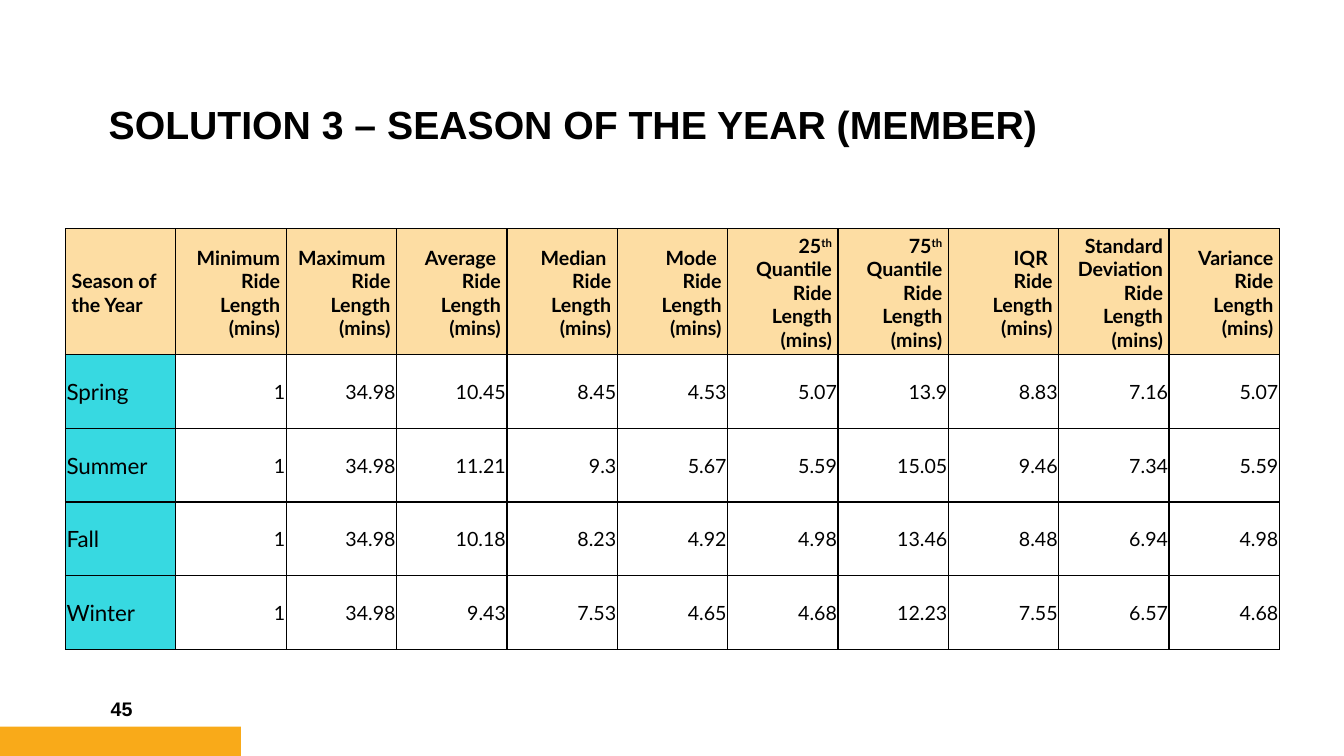
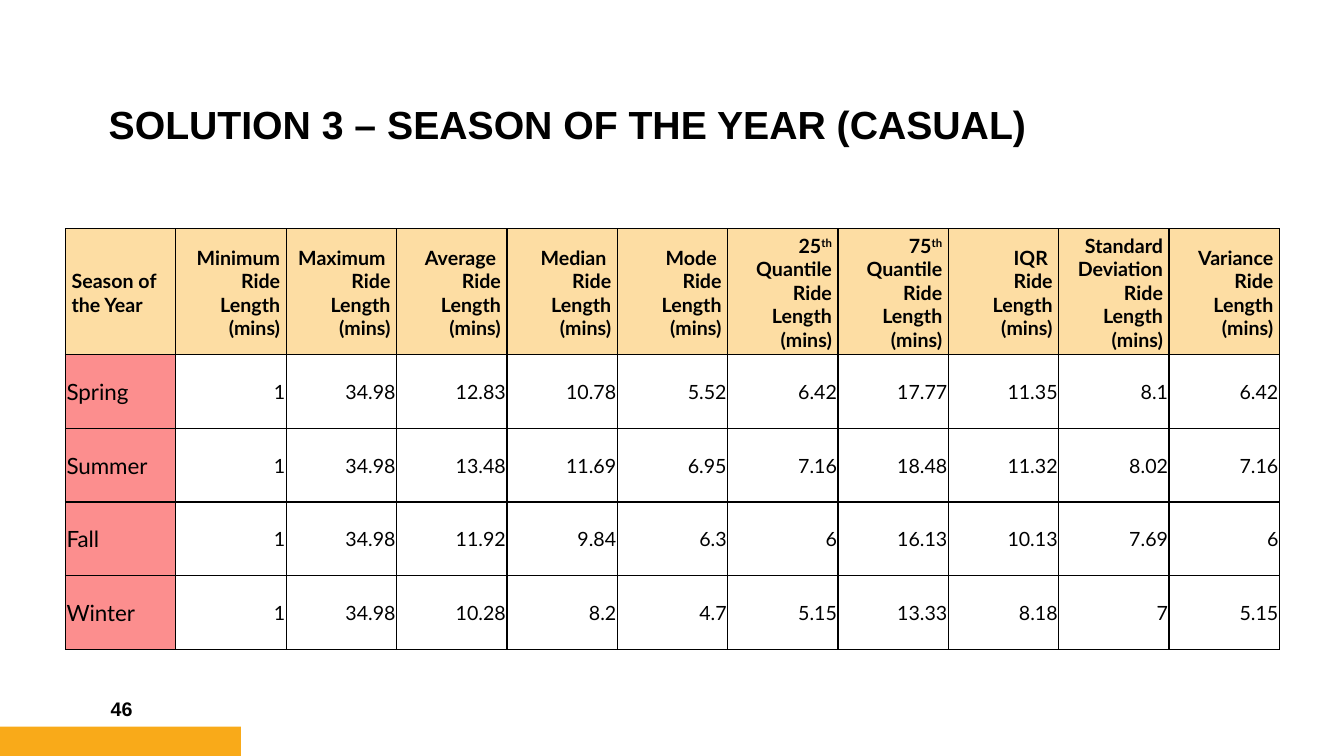
from dataclasses import dataclass
from lxml import etree
from pptx import Presentation
from pptx.dml.color import RGBColor
from pptx.enum.shapes import MSO_SHAPE
from pptx.enum.text import MSO_ANCHOR, PP_ALIGN
from pptx.oxml.ns import qn
from pptx.util import Inches, Pt

RECT = MSO_SHAPE.RECTANGLE
MIDDLE, BOTTOM = MSO_ANCHOR.MIDDLE, MSO_ANCHOR.BOTTOM
LEFT, RIGHT = PP_ALIGN.LEFT, PP_ALIGN.RIGHT


@dataclass(frozen=True)
class Theme:
    ink: str = "000000"
    paper: str = "FFFFFF"
    band: str = "F9AA19"
    head: str = "FDDDA3"
    member: str = "37D9E1"
    casual: str = "FC8E8E"
    title_font: str = "Arial"
    table_font: str = "Lato"
    title_size: int = 28
    season_size: int = 16
    body_size: int = 14


theme = Theme()

# Column heads: one string per paragraph, raised text between carets
ride = ["Ride Length", "(mins)"]
heads = [
    ["Season of the Year"],
    ["Minimum Ride Length", "(mins)"],
    ["Maximum ", *ride],
    ["Average ", *ride],
    ["Median ", *ride],
    ["Mode ", *ride],
    ["25^th^ Quantile Ride Length", "(mins)"],
    ["75^th^ Quantile Ride Length", "(mins)"],
    ["IQR ", *ride],
    ["Standard Deviation Ride Length", "(mins)"],
    ["Variance Ride Length", "(mins)"],
]

# Slides: rider group, page number, season colour, table rows
slides = [
    ("MEMBER", 45, theme.member, [
        ["Spring", 1, 34.98, 10.45, 8.45, 4.53, 5.07, 13.9, 8.83, 7.16, 5.07],
        ["Summer", 1, 34.98, 11.21, 9.3, 5.67, 5.59, 15.05, 9.46, 7.34, 5.59],
        ["Fall", 1, 34.98, 10.18, 8.23, 4.92, 4.98, 13.46, 8.48, 6.94, 4.98],
        ["Winter", 1, 34.98, 9.43, 7.53, 4.65, 4.68, 12.23, 7.55, 6.57, 4.68],
    ]),
    ("CASUAL", 46, theme.casual, [
        ["Spring", 1, 34.98, 12.83, 10.78, 5.52, 6.42, 17.77, 11.35, 8.1, 6.42],
        ["Summer", 1, 34.98, 13.48, 11.69, 6.95, 7.16, 18.48, 11.32, 8.02, 7.16],
        ["Fall", 1, 34.98, 11.92, 9.84, 6.3, 6, 16.13, 10.13, 7.69, 6],
        ["Winter", 1, 34.98, 10.28, 8.2, 4.7, 5.15, 13.33, 8.18, 7, 5.15],
    ]),
]


def write(frame, lines, font, size, bold=True, align=LEFT):
    frame.word_wrap = True
    for i, line in enumerate(lines):
        para = frame.paragraphs[0] if i == 0 else frame.add_paragraph()
        para.alignment = align
        for j, part in enumerate(line.split("^")):
            run = para.add_run()
            run.text = part
            run.font.name = font
            run.font.size = Pt(size)
            run.font.bold = bold
            run.font.color.rgb = RGBColor.from_string(theme.ink)
            if j % 2:
                run.font._element.set("baseline", "30000")


def style(cell, fill, insets):
    cell.vertical_anchor = MIDDLE
    (cell.margin_left, cell.margin_top,
     cell.margin_right, cell.margin_bottom) = map(Inches, insets)
    props = cell._tc.get_or_add_tcPr()
    for side in ("a:lnL", "a:lnR", "a:lnT", "a:lnB"):
        line = etree.SubElement(props, qn(side), w=str(Pt(1)))
        solid = etree.SubElement(line, qn("a:solidFill"))
        etree.SubElement(solid, qn("a:srgbClr"), val=theme.ink)
    cell.fill.solid()
    cell.fill.fore_color.rgb = RGBColor.from_string(fill)


deck = Presentation()
deck.slide_width, deck.slide_height = Inches(13.33), Inches(7.5)

for group, page, tint, rows in slides:
    slide = deck.slides.add_slide(deck.slide_layouts[6])
    shapes = slide.shapes

    # Bottom band
    band = shapes.add_shape(RECT, 0, Inches(7.21), Inches(2.39), Inches(0.3))
    band.shadow.inherit = False
    band.fill.solid()
    band.fill.fore_color.rgb = RGBColor.from_string(theme.band)
    band.line.fill.background()

    # Title
    title = shapes.add_textbox(Inches(0.98), Inches(0.15), Inches(9.99), Inches(1.37)).text_frame
    title.vertical_anchor = BOTTOM
    write(title, [f"SOLUTION 3 – SEASON OF THE YEAR ({group})"], theme.title_font, theme.title_size)
    title.paragraphs[0].line_spacing = 0.9

    # Page number
    number = shapes.add_textbox(Inches(1), Inches(6.83), Inches(1.3), Inches(0.4)).text_frame
    number.vertical_anchor = MIDDLE
    write(number, [str(page)], theme.title_font, theme.body_size)

    # Table
    table = shapes.add_table(len(rows) + 1, len(heads), Inches(0.65), Inches(2.27),
                             Inches(12.04), Inches(4.18)).table
    table.first_row = table.horz_banding = False
    for r, row in enumerate(table.rows):
        row.height = Inches(0.73 if r else 1.25)

    for c, head in enumerate(heads):
        align = RIGHT if c else LEFT
        cell = table.cell(0, c)
        style(cell, theme.head, (0.06, 0.05, 0.06, 0.03))
        write(cell.text_frame, head, theme.table_font, theme.body_size, align=align)
        for r, row in enumerate(rows, 1):
            cell = table.cell(r, c)
            style(cell, theme.paper if c else tint, (0.01, 0.01, 0.01, 0))
            size = theme.body_size if c else theme.season_size
            write(cell.text_frame, [str(row[c])], theme.table_font, size, False, align)

deck.save("out.pptx")
